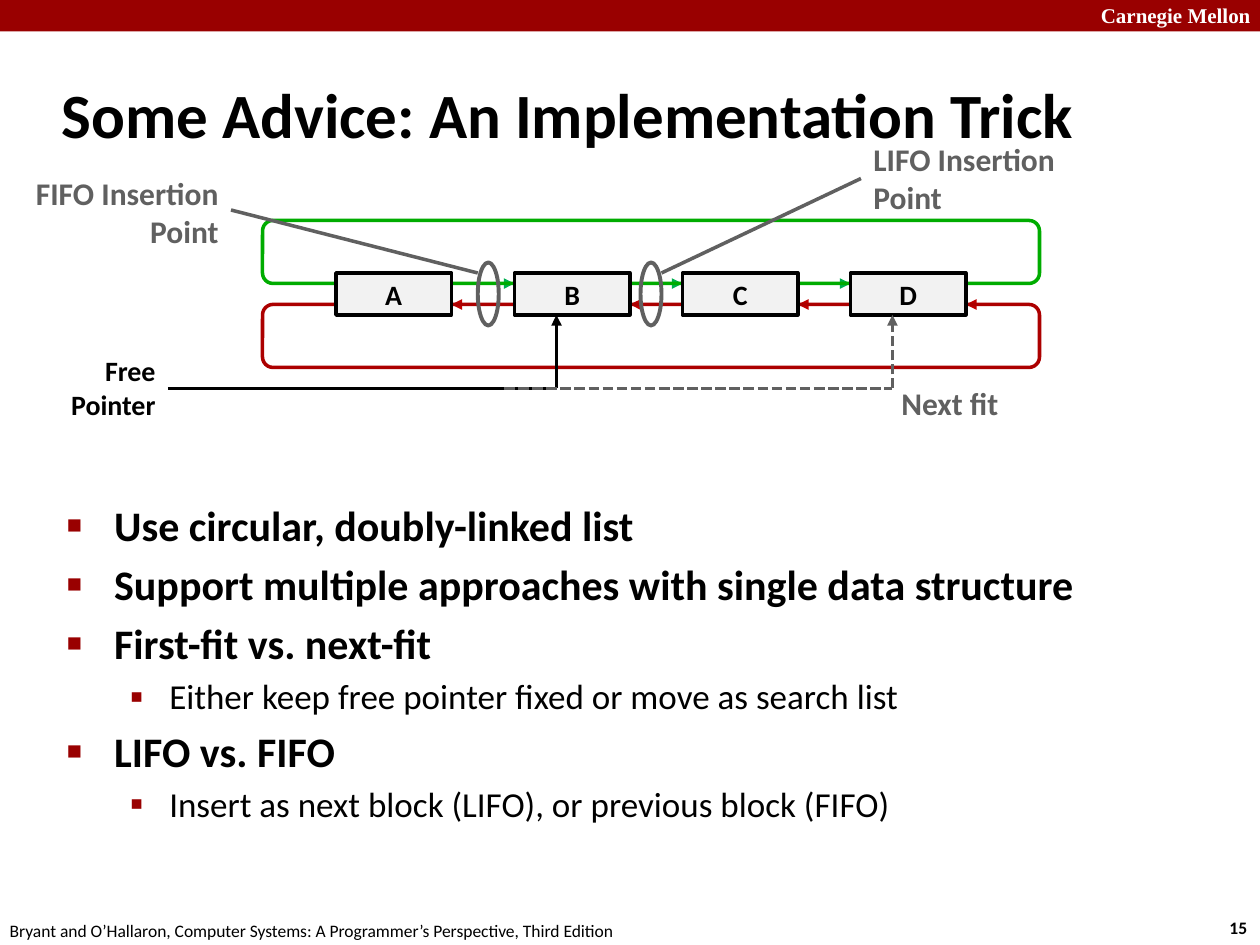
"""Build the slide on implementing a free list as a circular, doubly-linked list."""
from dataclasses import dataclass

from lxml import etree
from pptx import Presentation
from pptx.dml.color import RGBColor
from pptx.enum.dml import MSO_LINE
from pptx.enum.shapes import MSO_CONNECTOR, MSO_SHAPE
from pptx.enum.text import MSO_ANCHOR, MSO_AUTO_SIZE, PP_ALIGN
from pptx.oxml.ns import qn
from pptx.util import Pt

LEFT, CENTER, RIGHT = PP_ALIGN.LEFT, PP_ALIGN.CENTER, PP_ALIGN.RIGHT
TOP, MIDDLE = MSO_ANCHOR.TOP, MSO_ANCHOR.MIDDLE
RECT, ROUND_RECT, OVAL = MSO_SHAPE.RECTANGLE, MSO_SHAPE.ROUNDED_RECTANGLE, MSO_SHAPE.OVAL
STRAIGHT, DASHED = MSO_CONNECTOR.STRAIGHT, MSO_LINE.SQUARE_DOT


@dataclass(frozen=True)
class Theme:
    font: str = "Calibri"
    brand_font: str = "Times New Roman"
    black: str = "000000"
    white: str = "FFFFFF"
    maroon: str = "990000"
    gray: str = "606060"
    block: str = "F2F2F2"
    next_link: str = "00B050"
    prev_link: str = "C00000"
    next_loop: str = "00AC00"
    prev_loop: str = "AC0000"
    title: int = 36
    levels: tuple = (24, 20)
    note: int = 18
    label: int = 16
    brand: int = 12
    footer: int = 10
    stroke: float = 2
    ring: float = 2.25


THEME = Theme()

TITLE = "Some Advice: An Implementation Trick"
ADVICE = [
    (0, "Use circular, doubly-linked list"),
    (0, "Support multiple approaches with single data structure"),
    (0, "First-fit vs. next-fit"),
    (1, "Either keep free pointer fixed or move as search list"),
    (0, "LIFO vs. FIFO"),
    (1, "Insert as next block (LIFO), or previous block (FIFO)"),
]
BULLETS = [("■", 60, 27, -27), ("▪", 110, 58.5, -22.5)]
BLOCKS = {"A": 192, "B": 294, "C": 390, "D": 486}
BLOCK_W, BLOCK_H, BLOCK_TOP = 66, 24, 156
NEXT_Y, PREV_Y, POINTER_Y = 162, 174, 222
LOOP_X, LOOP_W, LOOP_H = 150, 444, 36
RING_W, RING_H = 12, 36
INSERTIONS = [
    (["FIFO Insertion", "Point"], (6, 96, 126, 51), RIGHT, 273, (132, 120), (273, 156)),
    (["LIFO Insertion", "Point"], (492, 76.5, 126, 51), LEFT, 366, (492, 102), (378, 156)),
]


def rgb(code):
    return RGBColor.from_string(code)


def write(frame, lines, size=THEME.label, color=THEME.black, bold=True, font=THEME.font,
          align=LEFT, anchor=TOP, wrap=True):
    frame.word_wrap = wrap
    frame.auto_size = MSO_AUTO_SIZE.NONE
    frame.vertical_anchor = anchor
    for i, line in enumerate(lines):
        paragraph = frame.paragraphs[0] if i == 0 else frame.add_paragraph()
        paragraph.alignment = align
        run = paragraph.add_run()
        run.text = line
        run.font.name, run.font.size, run.font.bold = font, Pt(size), bold
        run.font.color.rgb = rgb(color)


def label(slide, lines, box, **text_format):
    textbox = slide.shapes.add_textbox(*map(Pt, box))
    write(textbox.text_frame, lines, **text_format)


def outline(slide, kind, box, fill=None, line=None, width=THEME.stroke):
    shape = slide.shapes.add_shape(kind, *map(Pt, box))
    shape.shadow.inherit = False
    if fill:
        shape.fill.solid()
        shape.fill.fore_color.rgb = rgb(fill)
    else:
        shape.fill.background()
    if line:
        shape.line.color.rgb = rgb(line)
        shape.line.width = Pt(width)
    else:
        shape.line.fill.background()
    return shape


def connect(slide, start, end, color, arrow=False, dash=None):
    link = slide.shapes.add_connector(STRAIGHT, *map(Pt, (*start, *end)))
    link.line.color.rgb = rgb(color)
    link.line.width = Pt(THEME.stroke)
    if dash:
        link.line.dash_style = dash
    properties = link.element.spPr
    if arrow:
        etree.SubElement(properties.find(qn("a:ln")), qn("a:tailEnd"), type="triangle")
    etree.SubElement(properties, qn("a:effectLst"))


def place(placeholder, box):
    placeholder.left, placeholder.top, placeholder.width, placeholder.height = map(Pt, box)


def set_bullet(paragraph, level):
    char, percent, margin, indent = BULLETS[level]
    paragraph.level = level
    properties = paragraph._p.get_or_add_pPr()
    properties.set("marL", str(Pt(margin)))
    properties.set("indent", str(Pt(indent)))
    color = etree.SubElement(properties, qn("a:buClr"))
    etree.SubElement(color, qn("a:srgbClr"), val=THEME.maroon)
    etree.SubElement(properties, qn("a:buSzPct"), val=str(percent * 1000))
    etree.SubElement(properties, qn("a:buChar"), char=char)


def add_frame(slide):
    outline(slide, RECT, (0, 0, 720, 18), fill=THEME.maroon)
    label(slide, ["Carnegie Mellon"], (622, -2, 103, 21.6), size=THEME.brand,
          font=THEME.brand_font, color=THEME.white)
    label(slide, ["15"], (695.5, 520.5, 26.6, 19.4), size=THEME.footer, wrap=False)
    label(slide, ["Bryant and O’Hallaron, Computer Systems: A Programmer’s Perspective, Third Edition"],
          (-1.5, 522, 366, 19.4), size=THEME.footer, bold=False, wrap=False)


def add_text(slide):
    title, body = slide.placeholders
    place(title, (28, 34.5, 598, 60))
    write(title.text_frame, [TITLE], size=THEME.title, anchor=MIDDLE)
    place(body, (31, 282, 622, 217))
    write(body.text_frame, [text for _, text in ADVICE])
    for i, (paragraph, (level, _)) in enumerate(zip(body.text_frame.paragraphs, ADVICE)):
        size = THEME.levels[level]
        set_bullet(paragraph, level)
        paragraph.space_before = Pt(0.2 * size if i else 0)
        paragraph.runs[0].font.size = Pt(size)
        paragraph.runs[0].font.bold = level == 0


def add_list(slide):
    lefts = list(BLOCKS.values())
    for left, following in zip(lefts, lefts[1:]):
        right = left + BLOCK_W
        connect(slide, (right, NEXT_Y), (following, NEXT_Y), THEME.next_link, arrow=True)
        connect(slide, (following, PREV_Y), (right, PREV_Y), THEME.prev_link, arrow=True)
    last_right = lefts[-1] + BLOCK_W
    connect(slide, (last_right + 30, PREV_Y), (last_right, PREV_Y), THEME.prev_link, arrow=True)
    for top, color in ((NEXT_Y - LOOP_H, THEME.next_loop), (PREV_Y, THEME.prev_loop)):
        outline(slide, ROUND_RECT, (LOOP_X, top, LOOP_W, LOOP_H), line=color)
    for name, left in BLOCKS.items():
        block = outline(slide, RECT, (left, BLOCK_TOP, BLOCK_W, BLOCK_H),
                        fill=THEME.block, line=THEME.black)
        write(block.text_frame, [name], align=CENTER, anchor=MIDDLE, wrap=False)


def add_pointers(slide):
    bottom = BLOCK_TOP + BLOCK_H
    for start_x, end_x, color, dash in ((96, BLOCKS["B"] + 24, THEME.black, None),
                                        (288, BLOCKS["D"] + 24, THEME.gray, DASHED)):
        connect(slide, (end_x, POINTER_Y), (end_x, bottom), color, arrow=True, dash=dash)
        connect(slide, (start_x, POINTER_Y), (end_x, POINTER_Y), color, dash=dash)
    label(slide, ["Free", "Pointer"], (32, 198.5, 64, 46), align=RIGHT, wrap=False)
    label(slide, ["Next fit"], (508, 216, 70.5, 29), size=THEME.note, color=THEME.gray, wrap=False)
    for lines, box, align, ring_x, start, end in INSERTIONS:
        outline(slide, OVAL, (ring_x, 150, RING_W, RING_H), line=THEME.gray, width=THEME.ring)
        connect(slide, start, end, THEME.gray)
        label(slide, lines, box, size=THEME.note, color=THEME.gray, align=align)


def main():
    deck = Presentation()
    deck.slide_width, deck.slide_height = Pt(720), Pt(540)
    slide = deck.slides.add_slide(deck.slide_layouts[1])
    for add_part in (add_frame, add_text, add_list, add_pointers):
        add_part(slide)
    deck.save("out.pptx")


if __name__ == "__main__":
    main()
